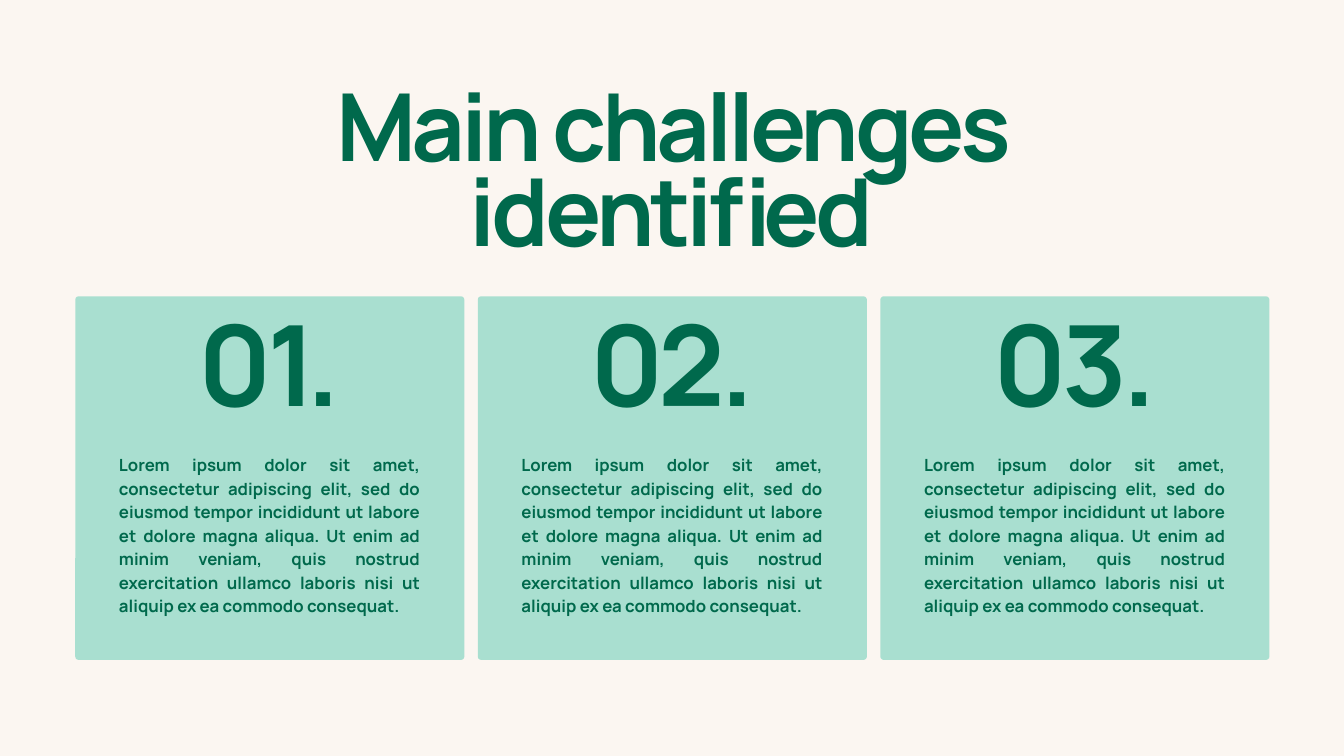
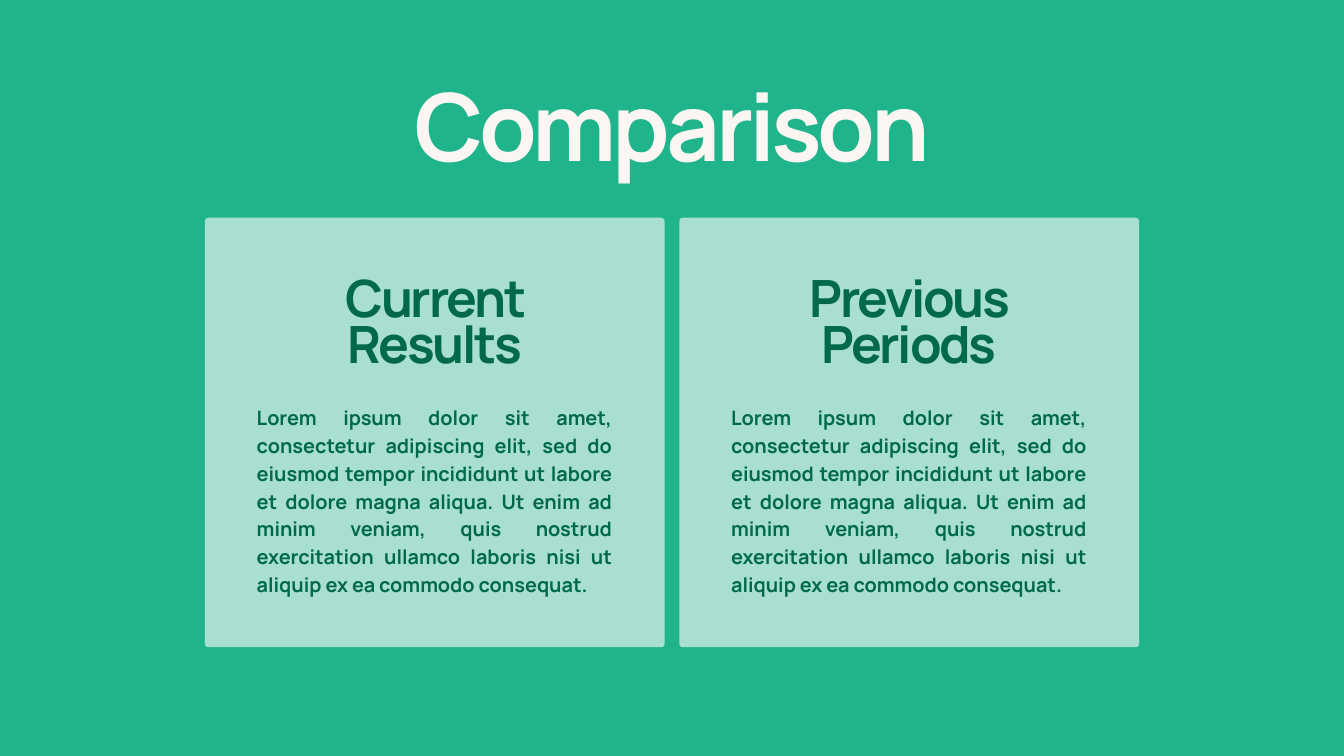
import pptx
import pptx.util
import pptx.dml.color
import pptx.enum.shapes
import pptx.enum.text

EMU_PER_PX = 9144  # 100 px to the inch
SLIDE_W, SLIDE_H = 2000, 1125
TITLE_TOP = 143
CARD_RADIUS = 5

COLORS = {
    "cream": "FBF6F1",
    "green": "20B48C",
    "mint": "A9DFD0",
    "dark": "00694C",
}
LOREM = (
    "Lorem ipsum dolor sit amet, consectetur adipiscing elit, sed do eiusmod "
    "tempor incididunt ut labore et dolore magna aliqua. Ut enim ad minim "
    "veniam, quis nostrud exercitation ullamco laboris nisi ut aliquip ex ea "
    "commodo consequat."
)
# Text styles: size, line height and letter spacing in points
STYLES = {
    "title": {"size": 100.4, "line": 90.4, "tracking": -4.6, "align": "CENTER"},
    "number": {"size": 120, "line": 108, "tracking": -5.5, "align": "CENTER"},
    "heading": {"size": 55, "line": 49.5, "tracking": -2.5, "align": "CENTER"},
    "small body": {"size": 18, "line": 25.2, "tracking": 0, "align": "JUSTIFY"},
    "large body": {"size": 21.3, "line": 29.8, "tracking": 0, "align": "JUSTIFY"},
}
FRAME_FORMAT = {
    "margin_left": 0,
    "margin_top": 0,
    "margin_right": 0,
    "margin_bottom": 0,
    "word_wrap": True,
    "auto_size": pptx.enum.text.MSO_AUTO_SIZE.NONE,
    "vertical_anchor": pptx.enum.text.MSO_ANCHOR.TOP,
}


def px(length):
    return pptx.util.Emu(length * EMU_PER_PX)


def rgb(color):
    return pptx.dml.color.RGBColor.from_string(COLORS[color])


def apply_format(target, values):
    for name, value in values.items():
        setattr(target, name, value)


def write_text(frame, text, style_name, color):
    style = STYLES[style_name]
    apply_format(frame, FRAME_FORMAT)
    paragraph = frame.paragraphs[0]
    apply_format(paragraph, {
        "alignment": getattr(pptx.enum.text.PP_ALIGN, style["align"]),
        "line_spacing": pptx.util.Pt(style["line"]),
        "space_before": pptx.util.Pt(0),
    })
    run = paragraph.add_run()
    run.text = text
    apply_format(run.font, {
        "name": "Manrope",
        "size": pptx.util.Pt(style["size"]),
        "bold": True,
    })
    run.font.color.rgb = rgb(color)
    if style["tracking"]:
        run.font._element.set("spc", str(round(style["tracking"] * 100)))


def add_titled_slide(deck, background, title, color, width, height):
    slide = deck.slides.add_slide(deck.slide_layouts[5])
    slide.background.fill.solid()
    slide.background.fill.fore_color.rgb = rgb(background)
    apply_format(slide.shapes.title, {
        "left": px((SLIDE_W - width) // 2),
        "top": px(TITLE_TOP),
        "width": px(width),
        "height": px(height),
    })
    write_text(slide.shapes.title.text_frame, title, "title", color)
    return slide


def add_card(slide, box, parts):
    """Draw a rounded card; each part is centred across it."""
    left, top, width, height = box
    card = slide.shapes.add_shape(
        pptx.enum.shapes.MSO_SHAPE.ROUNDED_RECTANGLE, *map(px, box))
    card.adjustments[0] = CARD_RADIUS / min(width, height)
    card.shadow.inherit = False
    card.fill.solid()
    card.fill.fore_color.rgb = rgb("mint")
    card.line.fill.background()

    for text, style_name, part_top, part_width, part_height in parts:
        text_box = slide.shapes.add_textbox(
            px(left + (width - part_width) // 2), px(top + part_top),
            px(part_width), px(part_height))
        write_text(text_box.text_frame, text, style_name, "dark")


def add_card_row(slide, first_box, gap, cards):
    left, top, width, height = first_box
    for index, parts in enumerate(cards):
        add_card(slide, (left + index * (width + gap), top, width, height), parts)


def build_challenges(deck):
    slide = add_titled_slide(
        deck, "cream", "Main challenges identified", "dark", 1515, 262)
    cards = [
        [(f"{number:02d}.", "number", 48, 265, 164),
         (LOREM, "small body", 231, 448, 241)]
        for number in range(1, 4)
    ]
    add_card_row(slide, (112, 441, 579, 541), 20, cards)


def build_comparison(deck):
    slide = add_titled_slide(deck, "green", "Comparison", "cream", 1754, 137)
    headings = [("Current Results", 478), ("Previous Periods", 441)]
    cards = [
        [(heading, "heading", 95, heading_width, 145),
         (LOREM, "large body", 274, 529, 285)]
        for heading, heading_width in headings
    ]
    add_card_row(slide, (305, 324, 684, 639), 22, cards)


def main():
    deck = pptx.Presentation()
    deck.slide_width, deck.slide_height = px(SLIDE_W), px(SLIDE_H)
    build_challenges(deck)
    build_comparison(deck)
    deck.save("out.pptx")


if __name__ == "__main__":
    main()
